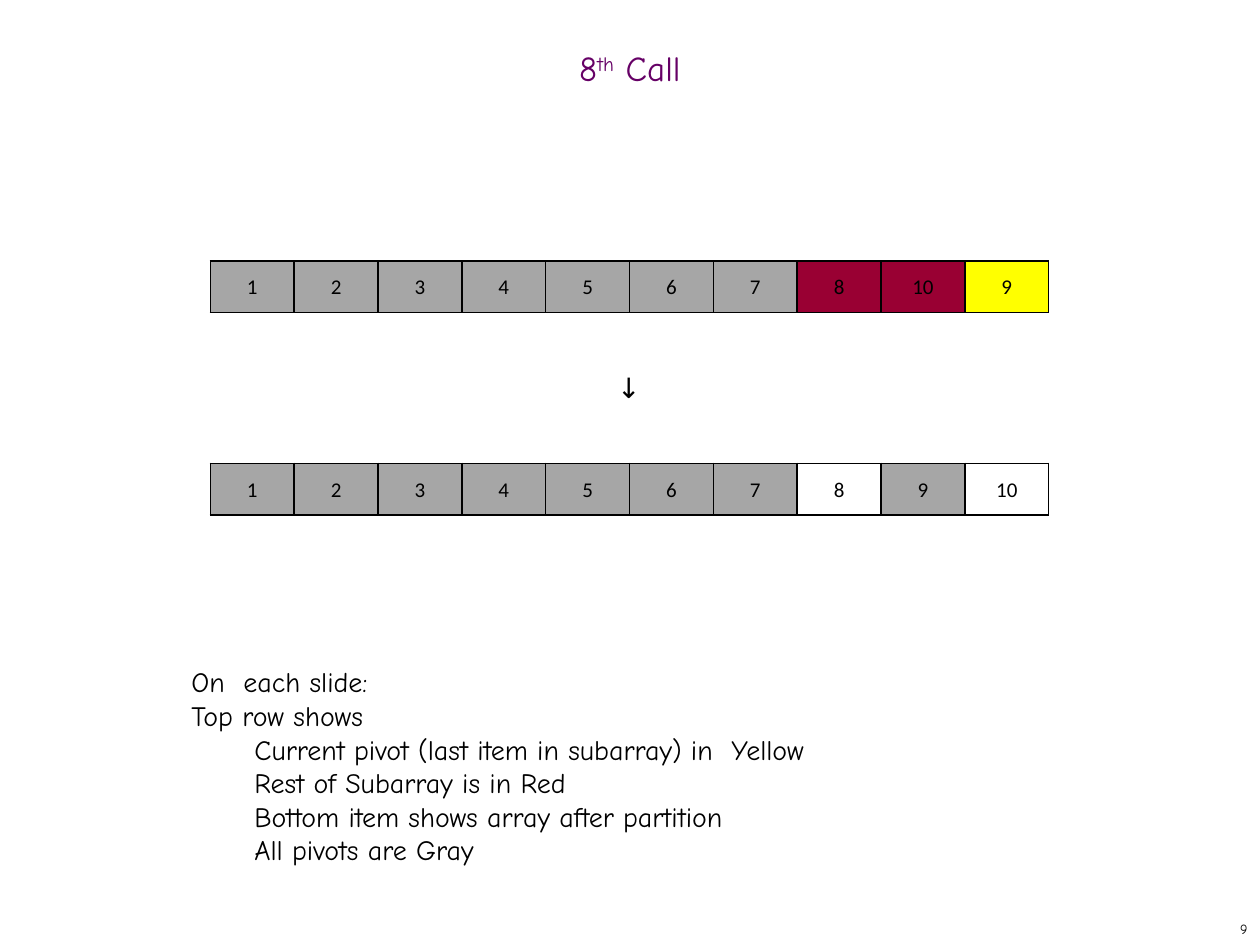
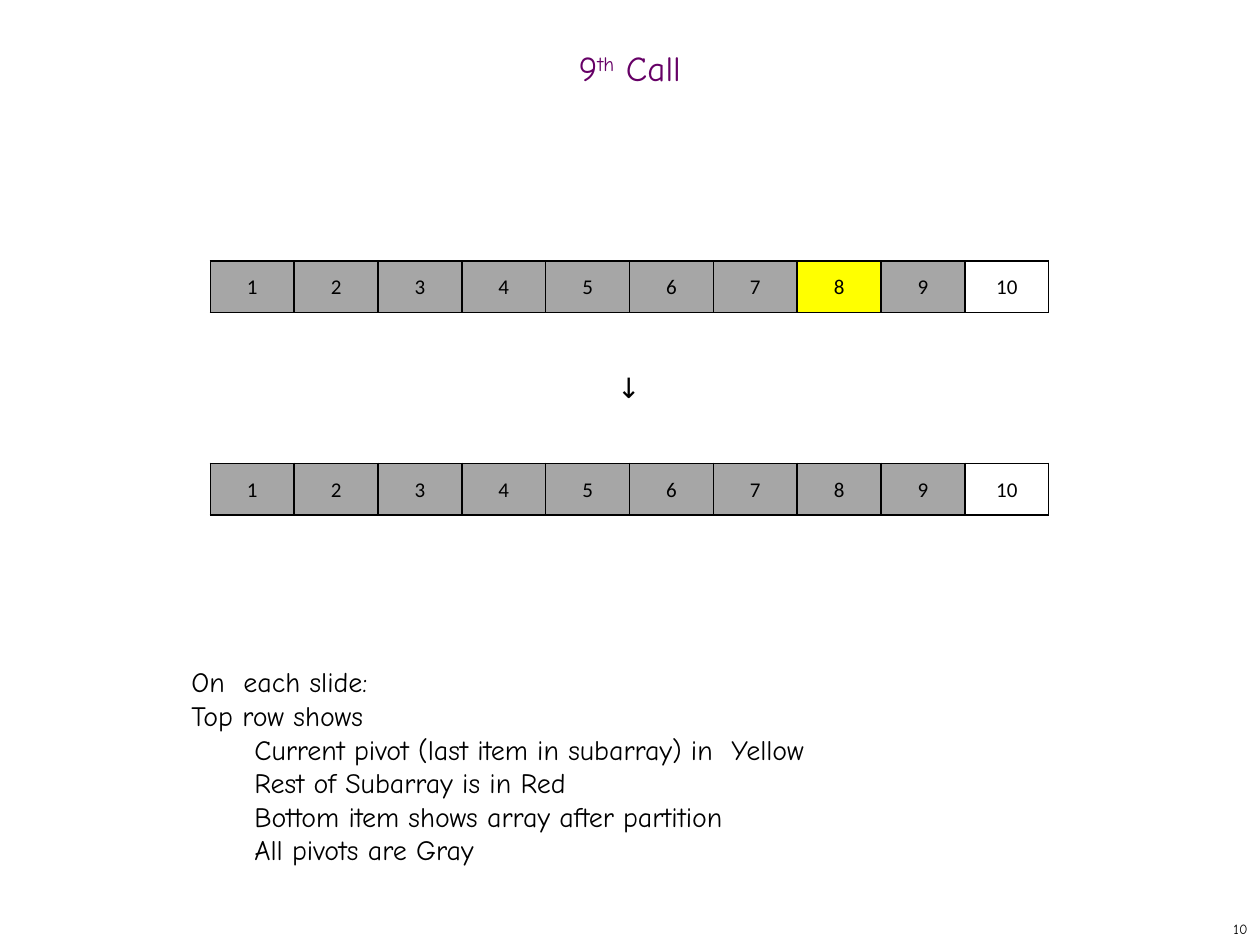
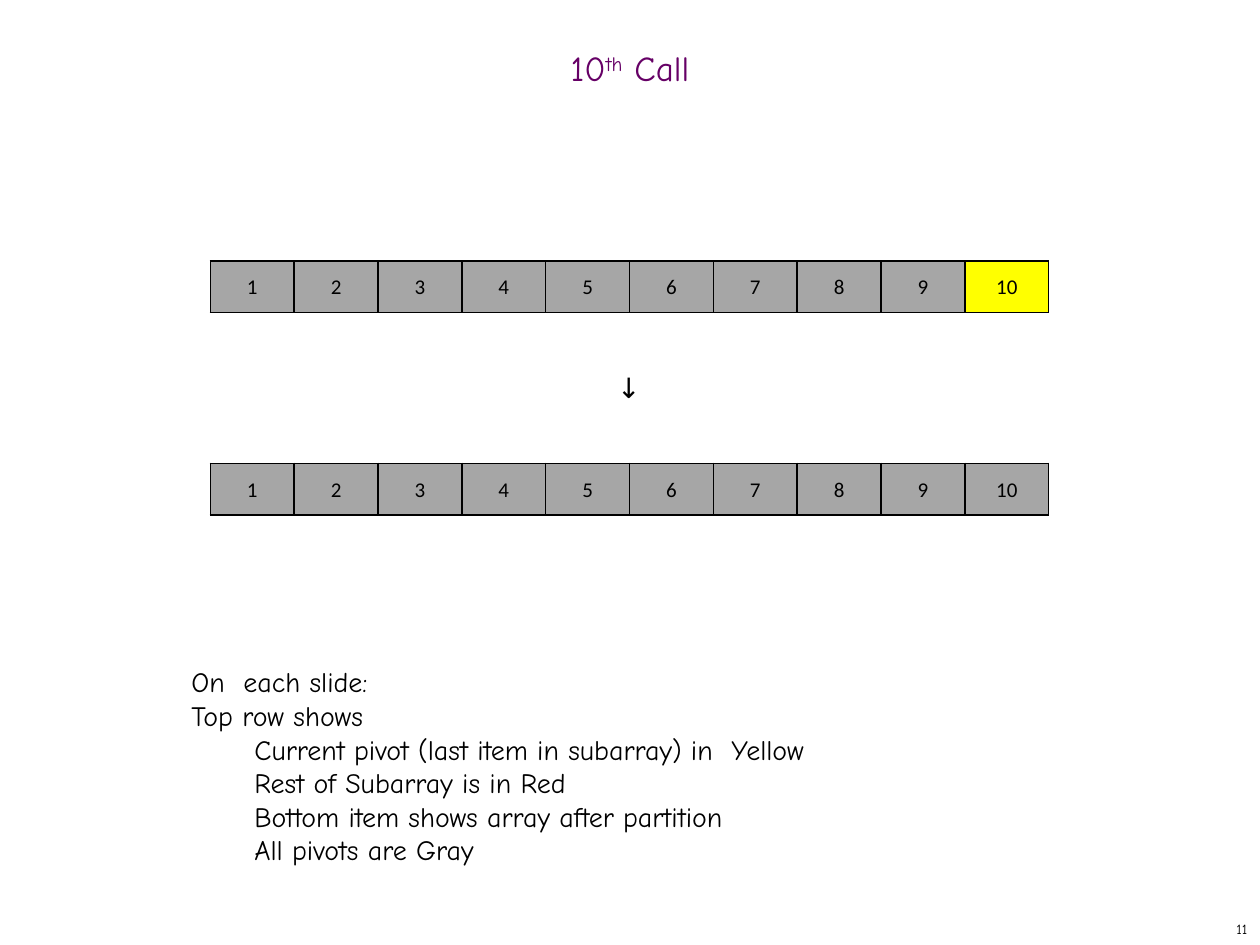
from lxml.etree import SubElement
from pptx import Presentation
from pptx.dml.color import RGBColor
from pptx.enum.text import MSO_ANCHOR as Anchor, MSO_AUTO_SIZE as AutoSize, PP_ALIGN as Align
from pptx.oxml.ns import qn
from pptx.util import Cm, Pt

BLACK, PURPLE = "000000", "660066"
TEXT_FONT, CELL_FONT = "Comic Neue", "Calibri"
# g: earlier pivot, r: rest of the subarray, y: current pivot, w: untouched
CELL_FILLS = {"g": "A6A6A6", "r": "990033", "y": "FFFF00", "w": None}
COLUMNS, COLUMN_WIDTH, ROW_HEIGHT = 10, Cm(1.69), Cm(1.04)
TABLE_LEFT, TOP_ROW, BOTTOM_ROW = Cm(4.24), Cm(5.26), Cm(9.34)

LEGEND = [
    ("On  each slide:", 0),
    ("Top row shows", 0),
    ("Current pivot (last item in subarray) in  Yellow", 1),
    ("Rest of Subarray is in Red", 1),
    ("Bottom item shows array after partition", 1),
    ("All pivots are Gray", 1),
]

SORTED = list(range(1, 11))
# call number, page number, (values, states) before and after the partition
CALLS = [
    (8, 9, ([1, 2, 3, 4, 5, 6, 7, 8, 10, 9], "gggggggrry"), (SORTED, "gggggggwgw")),
    (9, 10, (SORTED, "gggggggygw"), (SORTED, "gggggggggw")),
    (10, 11, (SORTED, "gggggggggy"), (SORTED, "gggggggggg")),
]


def rgb(hex_string):
    """Turn a hex string into a colour."""
    return RGBColor.from_string(hex_string)


def write(paragraph, text, size=16, font=TEXT_FONT, color=BLACK, align=None, raised=False):
    """Add a formatted run to a paragraph."""
    if align is not None:
        paragraph.alignment = align
    run = paragraph.add_run()
    run.text = text
    run.font.size = Pt(size)
    run.font.name = font
    run.font.color.rgb = rgb(color)
    if raised:
        run.font._element.set("baseline", "30000")


presentation = Presentation()
presentation.slide_width, presentation.slide_height = Cm(25.4), Cm(19.05)
blank_layout = presentation.slide_layouts[6]

for call_number, page_number, before, after in CALLS:
    slide = presentation.slides.add_slide(blank_layout)

    # Title
    title = slide.shapes.add_textbox(0, Cm(0.84), presentation.slide_width, Cm(1.27)).text_frame
    title.word_wrap = True
    title.vertical_anchor = Anchor.MIDDLE
    heading = title.paragraphs[0]
    heading.line_spacing = 0.7
    for text, raised in ((str(call_number), False), ("th", True), (" Call", False)):
        write(heading, text, size=20, color=PURPLE, align=Align.CENTER, raised=raised)

    # Page number
    footer = slide.shapes.add_textbox(Cm(20.12), Cm(18.42), Cm(5.28), Cm(0.63)).text_frame
    footer.word_wrap = True
    footer.vertical_anchor = Anchor.MIDDLE
    write(footer.paragraphs[0], str(page_number), size=8, align=Align.RIGHT)

    # Array before and after the partition
    for top, (values, states) in ((TOP_ROW, before), (BOTTOM_ROW, after)):
        table = slide.shapes.add_table(
            1, COLUMNS, TABLE_LEFT, top, COLUMN_WIDTH * COLUMNS, ROW_HEIGHT).table
        table.first_row = table.horz_banding = False
        for column, value, state in zip(table.columns, values, states):
            column.width = COLUMN_WIDTH
        for cell, value, state in zip(table.iter_cells(), values, states):
            cell.margin_left = cell.margin_right = cell.margin_top = Cm(0.03)
            cell.margin_bottom = 0
            cell.vertical_anchor = Anchor.MIDDLE
            write(cell.text_frame.paragraphs[0], str(value), size=12,
                  font=CELL_FONT, align=Align.CENTER)
            properties = cell._tc.get_or_add_tcPr()
            for side in ("lnL", "lnR", "lnT", "lnB"):
                border = SubElement(properties, qn(f"a:{side}"), w=str(Pt(1)))
                solid = SubElement(border, qn("a:solidFill"))
                SubElement(solid, qn("a:srgbClr"), val=BLACK)
            if CELL_FILLS[state]:
                cell.fill.solid()
                cell.fill.fore_color.rgb = rgb(CELL_FILLS[state])
            else:
                cell.fill.background()

    # Arrow between the arrays
    arrow = slide.shapes.add_textbox(Cm(12.19), Cm(7.34), Cm(1.04), Cm(0.94)).text_frame
    arrow.word_wrap = False
    arrow.auto_size = AutoSize.SHAPE_TO_FIT_TEXT
    write(arrow.paragraphs[0], "↓")

    # Legend
    legend = slide.shapes.add_textbox(Cm(3.61), Cm(13.28), Cm(20.29), Cm(4.37)).text_frame
    legend.word_wrap = True
    legend.auto_size = AutoSize.SHAPE_TO_FIT_TEXT
    for index, (text, level) in enumerate(LEGEND):
        paragraph = legend.add_paragraph() if index else legend.paragraphs[0]
        paragraph.level = level
        if level:
            paragraph._p.get_or_add_pPr().set("marL", str(Cm(1.27)))
        write(paragraph, text)

presentation.save("out.pptx")
